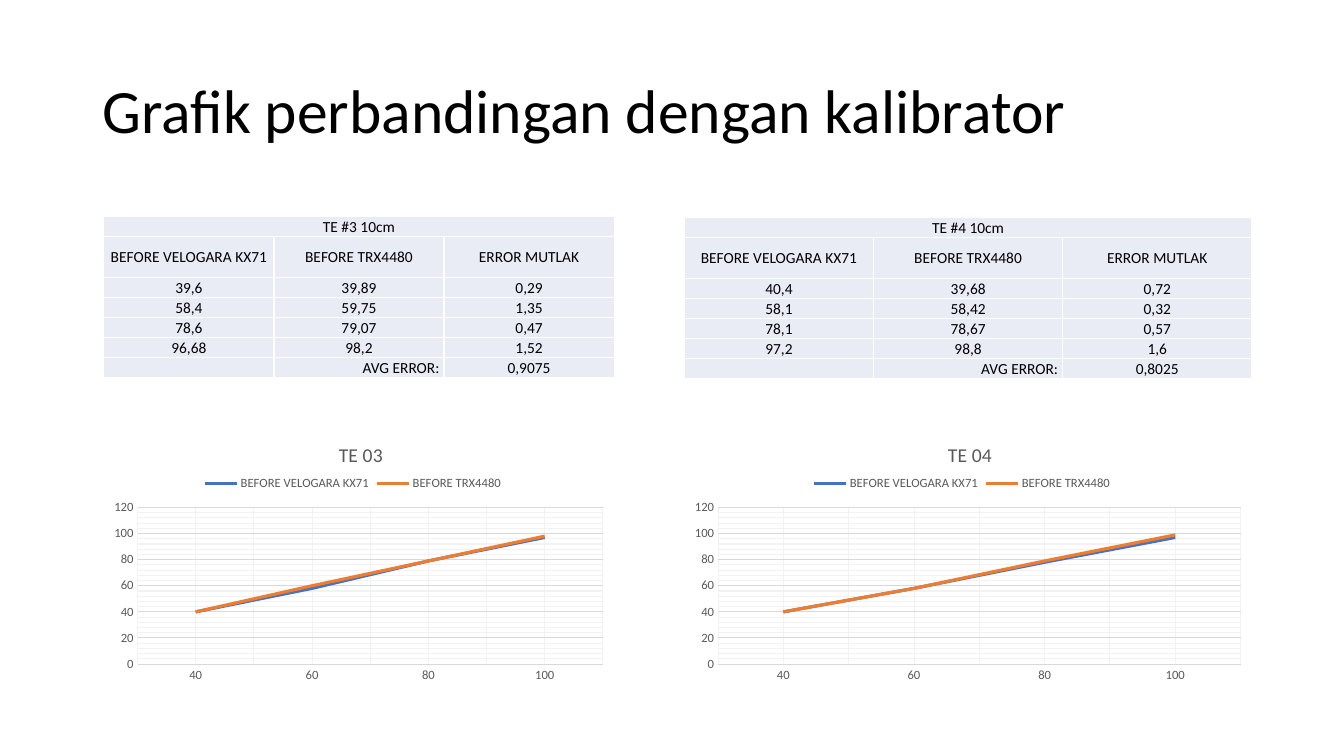
"""Build the calibrator comparison slide with two tables and two line charts."""
import lxml.etree
import pptx
import pptx.chart.data
import pptx.dml.color
import pptx.enum.chart
import pptx.enum.text
import pptx.oxml
import pptx.oxml.ns
import pptx.util

Pt = pptx.util.Pt
RGBColor = pptx.dml.color.RGBColor
Align = pptx.enum.text.PP_ALIGN
Anchor = pptx.enum.text.MSO_ANCHOR
qn = pptx.oxml.ns.qn

BLACK = RGBColor(0x00, 0x00, 0x00)
WHITE = RGBColor(0xFF, 0xFF, 0xFF)
CELL = RGBColor(0xE9, 0xEB, 0xF5)
GREY = RGBColor(0x59, 0x59, 0x59)
GRID = RGBColor(0xD9, 0xD9, 0xD9)
FAINT = RGBColor(0xF2, 0xF2, 0xF2)
BLUE = RGBColor(0x44, 0x72, 0xC4)
ORANGE = RGBColor(0xED, 0x7D, 0x31)

HEADERS = ("BEFORE VELOGARA KX71", "BEFORE TRX4480", "ERROR MUTLAK")
CATEGORIES = ("40", "60", "80", "100")
PANELS = (
    {
        "left": 74.2, "top": 154.8, "width": 364.5,
        "heading": "TE #3 10cm", "title": "TE 03",
        "rows": (("39,6", "39,89", "0,29"), ("58,4", "59,75", "1,35"),
                 ("78,6", "79,07", "0,47"), ("96,68", "98,2", "1,52")),
        "average": "0,9075",
        "values": ((40, 58, 79, 97), (40, 60, 79, 98)),
    },
    {
        "left": 488.9, "top": 155.5, "width": 405.3,
        "heading": "TE #4 10cm", "title": "TE 04",
        "rows": (("40,4", "39,68", "0,72"), ("58,1", "58,42", "0,32"),
                 ("78,1", "78,67", "0,57"), ("97,2", "98,8", "1,6")),
        "average": "0,8025",
        "values": ((40, 58, 78, 97), (40, 58, 79, 99)),
    },
)
CHART_TOP, CHART_HEIGHT = 298.8, 193


def assign(target, values):
    for name, value in values.items():
        setattr(target, name, value)


class Deck:
    """Hold the style and the current slide."""

    font_name = "Calibri"
    row_height = 14.4

    def __init__(self, prs):
        self.s = prs.slides.add_slide(prs.slide_layouts[6])

    def style(self, font, size, color):
        assign(font, {"name": self.font_name, "size": Pt(size), "bold": False})
        font.color.rgb = color

    def line(self, fmt, color, width):
        fmt.line.color.rgb = color
        fmt.line.width = Pt(width)

    def line_xml(self, parent, tag, color, width):
        ln = lxml.etree.SubElement(parent, qn(tag), w=str(Pt(width)))
        fill = lxml.etree.SubElement(ln, qn("a:solidFill"))
        lxml.etree.SubElement(fill, qn("a:srgbClr"), val=str(color))

    def heading(self, text, left, top, width, height):
        sp = self.s.shapes.add_textbox(Pt(left), Pt(top), Pt(width), Pt(height))
        tf = sp.text_frame
        assign(tf, {"word_wrap": True, "vertical_anchor": Anchor.MIDDLE})
        p = tf.paragraphs[0]
        p.line_spacing = 0.9
        r = p.add_run()
        r.text = text
        self.style(r.font, 44, BLACK)

    def cell(self, cell, text, align, anchor):
        assign(cell, {"margin_left": Pt(0.75), "margin_right": Pt(0.75),
                      "margin_top": Pt(0.75), "margin_bottom": 0,
                      "vertical_anchor": anchor})
        tc_pr = cell._tc.get_or_add_tcPr()
        for tag in ("a:lnL", "a:lnR", "a:lnT", "a:lnB"):
            self.line_xml(tc_pr, tag, WHITE, 1)
        cell.fill.solid()
        cell.fill.fore_color.rgb = CELL
        p = cell.text_frame.paragraphs[0]
        p.alignment = align
        if text:
            r = p.add_run()
            r.text = text
            self.style(r.font, 11, BLACK)
        else:
            p._p.get_or_add_endParaRPr().set("sz", "1100")

    def table(self, panel):
        rows = ((panel["heading"], "", ""), HEADERS, *panel["rows"],
                ("", "AVG ERROR: ", panel["average"]))
        table = self.s.shapes.add_table(
            len(rows), 3, Pt(panel["left"]), Pt(panel["top"]),
            Pt(panel["width"]), Pt(self.row_height * (len(rows) + 1))).table
        assign(table, {"first_row": False, "horz_banding": False})
        for column in table.columns:
            column.width = Pt(panel["width"] / 3)
        for i, row in enumerate(rows):
            table.rows[i].height = Pt(self.row_height * (2 if i == 1 else 1))
            for j, text in enumerate(row):
                average_label = i == len(rows) - 1 and j == 1
                self.cell(table.cell(i, j), text,
                          Align.RIGHT if average_label else Align.CENTER,
                          Anchor.BOTTOM if average_label else Anchor.MIDDLE)
        table.cell(0, 0).merge(table.cell(0, 2))

    def place(self, element, index, **fractions):
        for old in element.findall(qn("c:layout")):
            element.remove(old)
        layout = pptx.oxml.parse_xml(
            f"<c:layout {pptx.oxml.ns.nsdecls('c')}><c:manualLayout/></c:layout>")
        settings = {"xMode": "edge", "yMode": "edge", **fractions}
        if "w" in fractions:
            settings = {"layoutTarget": "inner", **settings}
        for name, value in settings.items():
            lxml.etree.SubElement(layout[0], qn(f"c:{name}"), val=str(value))
        element.insert(index, layout)

    def axis(self, axis, major_color):
        assign(axis, {"has_major_gridlines": True, "has_minor_gridlines": True,
                      "major_tick_mark": pptx.enum.chart.XL_TICK_MARK.NONE,
                      "minor_tick_mark": pptx.enum.chart.XL_TICK_MARK.NONE})
        self.line(axis.major_gridlines.format, major_color, 0.75)
        minor = axis._element.find(qn("c:minorGridlines"))
        sp_pr = lxml.etree.SubElement(minor, qn("c:spPr"))
        self.line_xml(sp_pr, "a:ln", FAINT, 0.75)
        self.style(axis.tick_labels.font, 9, GREY)

    def chart(self, panel):
        width = panel["width"]
        data = pptx.chart.data.CategoryChartData()
        data.categories = CATEGORIES
        for name, values in zip(HEADERS, panel["values"]):
            data.add_series(name, values)
        chart = self.s.shapes.add_chart(
            pptx.enum.chart.XL_CHART_TYPE.LINE, Pt(panel["left"]),
            Pt(CHART_TOP), Pt(width), Pt(CHART_HEIGHT), data).chart
        self.style(chart.font, 10, BLACK)
        assign(chart, {"has_title": True, "has_legend": True})

        p = chart.chart_title.text_frame.paragraphs[0]
        r = p.add_run()
        r.text = panel["title"]
        self.style(r.font, 14, GREY)
        assign(chart.legend, {"position": pptx.enum.chart.XL_LEGEND_POSITION.TOP,
                              "include_in_layout": False})
        self.style(chart.legend.font, 9, GREY)

        self.axis(chart.category_axis, FAINT)
        self.line(chart.category_axis.format, GRID, 0.75)
        self.axis(chart.value_axis, GRID)
        chart.value_axis.format.line.fill.background()
        assign(chart.value_axis, {"minimum_scale": 0, "maximum_scale": 120,
                                  "major_unit": 20, "minor_unit": 4})

        chart.plots[0].vary_by_categories = False
        for series, color in zip(chart.plots[0].series, (BLUE, ORANGE)):
            self.line(series.format, color, 2.25)
            series.smooth = False
            series.marker.style = pptx.enum.chart.XL_MARKER_STYLE.NONE

        self.place(chart.chart_title._element, 1, x=0.5 - 17 / width, y=0.07)
        self.place(chart.legend._element, 1, x=0.5 - 113 / width, y=0.2)
        self.place(chart._chartSpace.chart.plotArea, 0, x=24 / width, y=0.33,
                   w=1 - 32 / width, h=0.58)


def main():
    prs = pptx.Presentation()
    assign(prs, {"slide_width": Pt(960), "slide_height": Pt(540)})
    deck = Deck(prs)
    deck.heading("Grafik perbandingan dengan kalibrator", 66, 28.8, 828, 104.4)
    for panel in PANELS:
        deck.table(panel)
        deck.chart(panel)
    prs.save("out.pptx")


if __name__ == "__main__":
    main()
